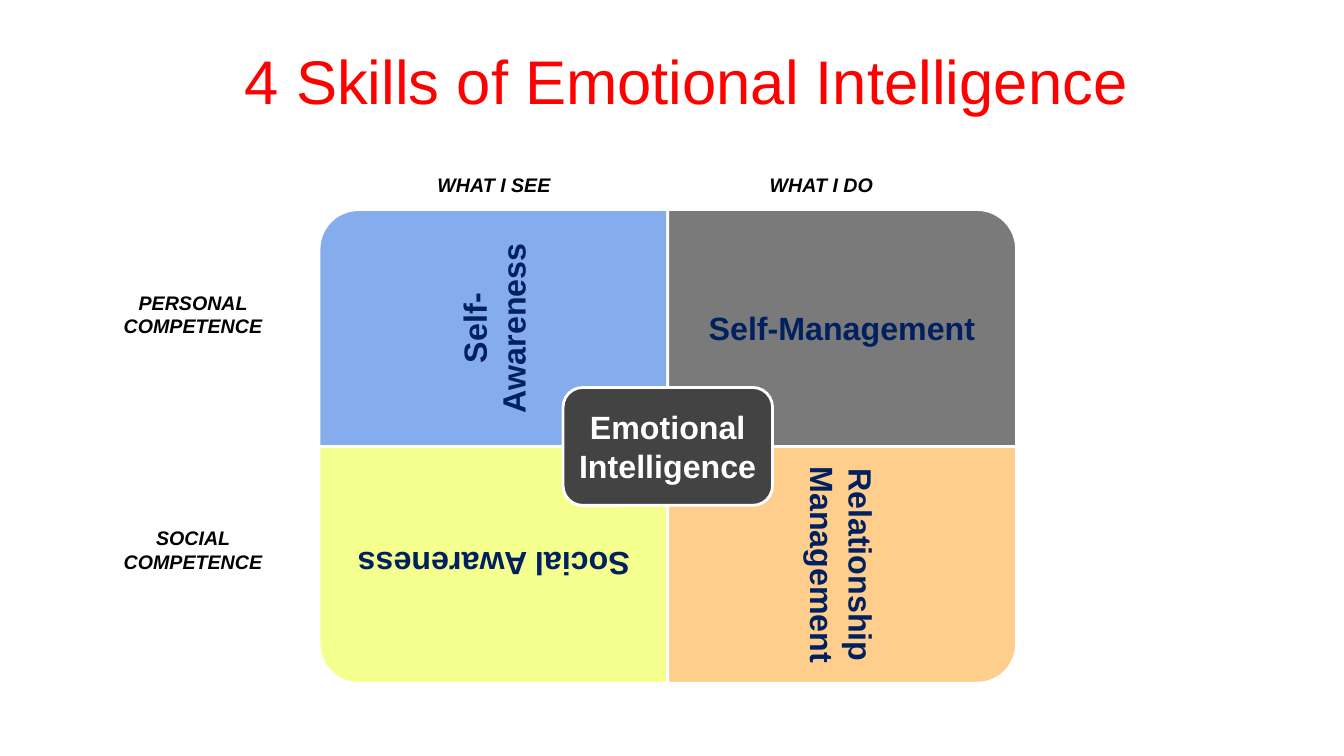
"""Builds a slide with the four skills of emotional intelligence as a matrix."""
import pptx
import pptx.dml.color
import pptx.enum.shapes
import pptx.enum.text
import pptx.oxml
import pptx.oxml.ns
import pptx.util

Cm = pptx.util.Cm
SHAPES = pptx.enum.shapes.MSO_SHAPE
ANCHORS = pptx.enum.text.MSO_ANCHOR


def color(hex_value):
    return pptx.dml.color.RGBColor.from_string(hex_value)


def write(shape, text, size, hex_value, margins, anchor=ANCHORS.MIDDLE, bold=True, italic=False):
    left, top, right, bottom = margins
    frame = shape.text_frame
    frame_format = {
        "word_wrap": True,
        "vertical_anchor": anchor,
        "margin_left": Cm(left),
        "margin_top": Cm(top),
        "margin_right": Cm(right),
        "margin_bottom": Cm(bottom),
    }
    for name, value in frame_format.items():
        setattr(frame, name, value)
    paragraph = frame.paragraphs[0]
    paragraph.text = text
    paragraph.alignment = pptx.enum.text.PP_ALIGN.CENTER
    font_format = {"name": "Arial", "size": pptx.util.Pt(size), "bold": bold, "italic": italic}
    for name, value in font_format.items():
        setattr(paragraph.font, name, value)
    paragraph.font.color.rgb = color(hex_value)


presentation = pptx.Presentation()
presentation.slide_width = Cm(33.87)
presentation.slide_height = Cm(19.05)
slide = presentation.slides.add_slide(presentation.slide_layouts[5])

title = slide.shapes.title
title_place = {"left": Cm(1.7), "top": Cm(0.64), "width": Cm(31.22), "height": Cm(2.74)}
for name, value in title_place.items():
    setattr(title, name, value)
write(title, "4 Skills of Emotional Intelligence", 44, "FF0000", (0.25, 0.13, 0.25, 0.13), bold=False)

center_x, center_y = 16.83, 11.25
skill_width, skill_height = 8.79, 5.97
skill_margins = (0.46, 0.46, 0.17, 0.46)
core_width, core_height = 5.28, 2.97
core_margins = (0.1, 0.1, 0.1, 0.1)

# text, column side, row side, rotation, fill, opacity in percent
skills = [
    ("Self-Awareness", -1, -1, 270, "0D5BDC", 50),
    ("Self-Management", 1, -1, 0, "7A7A7A", 100),
    ("Social Awareness", -1, 1, 180, "F5FF8D", 100),
    ("Relationship Management", 1, 1, 90, "FFCD8C", 100),
]
blocks = []
for text, column, row, rotation, fill, opacity in skills:
    width, height = skill_width, skill_height
    if rotation % 180:
        width, height = height, width
    x = center_x + column * skill_width / 2
    y = center_y + row * skill_height / 2
    blocks.append((SHAPES.ROUND_1_RECTANGLE, text, x, y, width, height, rotation,
                   fill, opacity, "002060", skill_margins))
blocks.append((SHAPES.ROUNDED_RECTANGLE, "Emotional Intelligence", center_x, center_y, core_width,
               core_height, 0, "434343", 100, "FFFFFF", core_margins))

for outline, text, x, y, width, height, rotation, fill, opacity, ink, margins in blocks:
    block = slide.shapes.add_shape(
        outline, Cm(x - width / 2), Cm(y - height / 2), Cm(width), Cm(height))
    block.rotation = rotation
    block.shadow.inherit = False
    block.fill.solid()
    block.fill.fore_color.rgb = color(fill)
    if opacity < 100:
        fill_color = block.fill._xPr.find(".//" + pptx.oxml.ns.qn("a:srgbClr"))
        alpha = pptx.oxml.parse_xml(
            f'<a:alpha {pptx.oxml.ns.nsdecls("a")} val="{opacity * 1000}"/>')
        fill_color.append(alpha)
    block.line.color.rgb = color("FFFFFF")
    block.line.width = pptx.util.Pt(2)
    write(block, text, 23, ink, margins)

headings = [
    ("WHAT I SEE", 8.64, 4.24, 7.62, 1.07),
    ("WHAT I DO", 16.89, 4.24, 7.62, 1.07),
    ("PERSONAL COMPETENCE", 2.64, 7.19, 4.45, 1.8),
    ("SOCIAL COMPETENCE", 2.64, 13.13, 4.45, 1.8),
]
for text, *place in headings:
    heading = slide.shapes.add_textbox(*map(Cm, place))
    write(heading, text, 14, "000000", (0.25, 0.13, 0.25, 0.13), ANCHORS.TOP, italic=True)

presentation.save("out.pptx")
